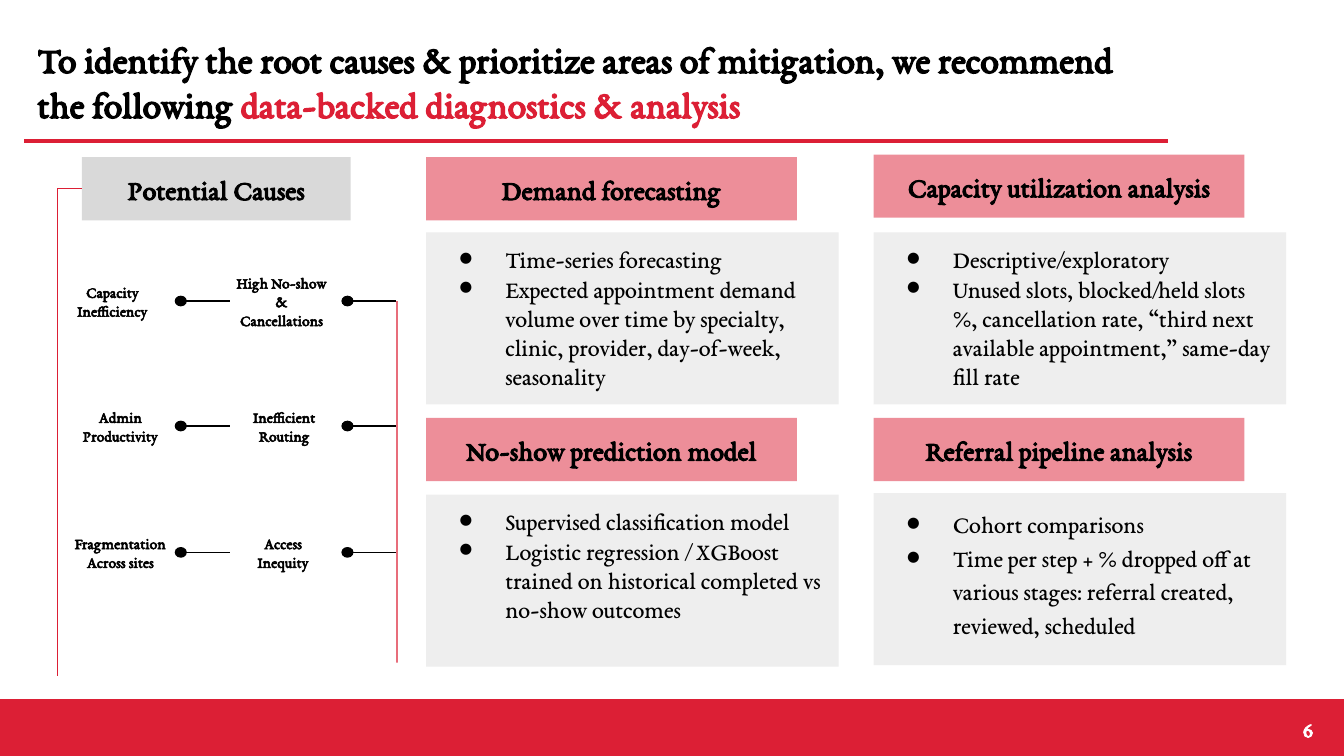
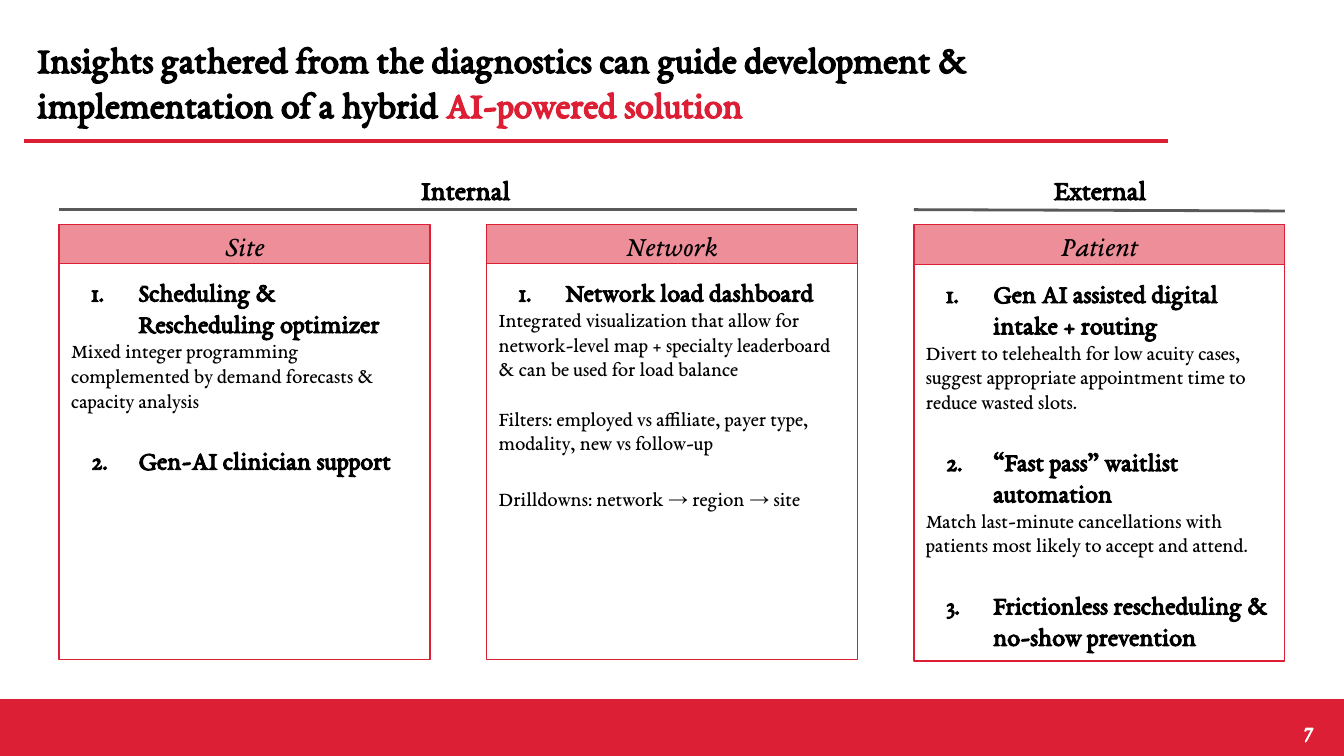
import pptx
import pptx.dml.color
import pptx.enum.shapes
import pptx.enum.text
import pptx.oxml
import pptx.oxml.ns
import pptx.util

Inches = pptx.util.Inches
Pt = pptx.util.Pt
rgb = pptx.dml.color.RGBColor.from_string
qn = pptx.oxml.ns.qn
SHAPE = pptx.enum.shapes.MSO_SHAPE
CONNECTOR = pptx.enum.shapes.MSO_CONNECTOR
ALIGN = pptx.enum.text.PP_ALIGN
ANCHOR = pptx.enum.text.MSO_ANCHOR

FONT = "EB Garamond"
RED, BLACK, WHITE = "DC1F35", "000000", "FFFFFF"
LIGHT_GREY, MID_GREY, DARK_GREY = "EEEEEE", "D9D9D9", "595959"
BULLET = '<a:buChar {} char="●"/>'
NUMBER = '<a:buAutoNum {{}} type="arabicPeriod" startAt="{}"/>'
NAMESPACE = pptx.oxml.ns.nsdecls("a")


def add_box(slide, place, fill=None, outline=None, opacity=100,
            kind=SHAPE.RECTANGLE, anchor=ANCHOR.MIDDLE, margin=0.09):
    """Add a text box, or a preset shape when a fill is given."""
    place = [Inches(length) for length in place]
    if fill is None:
        shape = slide.shapes.add_textbox(*place)
    else:
        shape = slide.shapes.add_shape(kind, *place)
        shape.shadow.inherit = False
        shape.fill.solid()
        shape.fill.fore_color.rgb = rgb(fill)
        if opacity < 100:
            color = shape.element.spPr.find(".//" + qn("a:srgbClr"))
            color.append(pptx.oxml.parse_xml(f'<a:alpha {NAMESPACE} val="{opacity * 1000}"/>'))
        if outline:
            shape.line.color.rgb = rgb(outline)
            shape.line.width = Pt(0.75)
        else:
            shape.line.fill.background()
    frame = shape.text_frame
    frame.word_wrap = True
    frame.vertical_anchor = anchor
    frame.margin_left = frame.margin_right = Inches(margin)
    frame.margin_top = frame.margin_bottom = Inches(margin)
    return shape


def write(shape, text, size, bold=False, italic=False, color=BLACK,
          align=ALIGN.LEFT, marker=None, marker_size=100, hanging=0.34):
    """Add a paragraph, using the empty first one if there is no text yet."""
    frame = shape.text_frame
    paragraph = frame.add_paragraph() if frame.text else frame.paragraphs[0]
    paragraph.text = text
    paragraph.alignment = align
    if marker:
        properties = paragraph._p.get_or_add_pPr()
        properties.set("marL", str(Inches(0.5)))
        properties.set("indent", str(-Inches(hanging)))
        for xml in (f'<a:buClr {NAMESPACE}><a:srgbClr val="{BLACK}"/></a:buClr>',
                    f'<a:buSzPct {NAMESPACE} val="{marker_size * 1000}"/>',
                    f'<a:buFont {NAMESPACE} typeface="{FONT}"/>',
                    marker.format(NAMESPACE)):
            properties.append(pptx.oxml.parse_xml(xml))
    font = paragraph.font
    font.name, font.size = FONT, Pt(size)
    font.bold, font.italic = bold, italic
    font.color.rgb = rgb(color)
    return paragraph


presentation = pptx.Presentation()
presentation.slide_width = Inches(10)
presentation.slide_height = Inches(10) * 9 // 16

# Title, rule and footer band on every slide
titles = [
    ("To identify the root causes & prioritize areas of mitigation, we recommend the following ",
     "data-backed diagnostics & analysis"),
    ("Insights gathered from the diagnostics can guide development & implementation of a hybrid ",
     "AI-powered solution"),
]
slides = []
lines = []  # slide, start, end, colour, width
for number, (lead, accent) in enumerate(titles, start=6):
    slide = presentation.slides.add_slide(presentation.slide_layouts[6])
    slides.append(slide)
    title = add_box(slide, (0.18, 0.16, 8.23, 0.88), margin=0.1)
    run = write(title, lead, 20.1, bold=True).add_run()
    run.text = accent
    run.font.color.rgb = rgb(RED)
    lines.append((slide, (0.18, 1.05), (8.69, 1.05), RED, 2.25))
    add_box(slide, (0, 5.21, 10, 0.41), RED, RED)
    page = add_box(slide, (9.27, 5.22, 0.6, 0.4), margin=0.1)
    write(page, str(number), 12, bold=True, color=WHITE, align=ALIGN.RIGHT)
diagnostics, solution = slides

# Diagnostics: potential causes
causes_header = add_box(diagnostics, (0.61, 1.17, 2, 0.47), MID_GREY)
write(causes_header, "Potential Causes", 15, bold=True, align=ALIGN.CENTER)
add_box(diagnostics, (2.95, 2.24, 0.01, 2.69), RED)

cause_rows = [
    (2.24, ("Capacity Inefficiency", 0.44, 0.79, 0.4),
     ("High No-show & Cancellations", 1.66, 0.87, 0.58)),
    (3.17, ("Admin Productivity", 0.49, 0.81, 0.4),
     ("Inefficient Routing", 1.71, 0.81, 0.4)),
    (4.11, ("Fragmentation Across sites", 0.44, 0.91, 0.4),
     ("Access Inequity", 1.7, 0.81, 0.4)),
]
for middle, *causes in cause_rows:
    for (cause, left, width, height), dot in zip(causes, (1.35, 2.59)):
        label = add_box(diagnostics, (left, middle - height / 2, width, height))
        paragraph = write(label, cause, 8.4, bold=True, align=ALIGN.CENTER)
        paragraph.space_after = Pt(14.8)
        add_box(diagnostics, (dot - 0.05, middle - 0.04, 0.09, 0.08), BLACK, kind=SHAPE.OVAL)
        lines.append((diagnostics, (dot, middle), (dot + 0.36, middle), BLACK, 0.7))

# Diagnostics: analysis cards
analyses = [
    ("Demand forecasting", 3.17, 1.17, 1.73, 1,
     ["Time-series forecasting",
      "Expected appointment demand volume over time by specialty, clinic, provider, "
      "day-of-week, seasonality"]),
    ("Capacity utilization analysis", 6.5, 1.15, 1.73, 1,
     ["Descriptive/exploratory",
      "Unused slots, blocked/held slots %, cancellation rate, “third next available "
      "appointment,” same-day fill rate"]),
    ("No-show prediction model", 3.17, 3.11, 3.68, 1,
     ["Supervised classification model",
      "Logistic regression / XGBoost trained on historical completed vs no-show outcomes"]),
    ("Referral pipeline analysis", 6.5, 3.11, 3.67, 1.15,
     ["Cohort comparisons",
      "Time per step + % dropped off at various stages: referral created, reviewed, scheduled"]),
]
for name, left, header_top, body_top, spacing, points in analyses:
    header = add_box(diagnostics, (left, header_top, 2.76, 0.47), RED, opacity=50)
    write(header, name, 15, bold=True, align=ALIGN.CENTER)
    body = add_box(diagnostics, (left, body_top, 3.07, 1.28), LIGHT_GREY, anchor=ANCHOR.TOP)
    for point in points:
        write(body, point, 13, marker=BULLET, marker_size=60).line_spacing = spacing

# Solution: each initiative has a heading and its notes
for section, left, width, rule_start, rule_end in [
        ("Internal", 0.77, 5.39, (0.44, 1.56), (6.38, 1.56)),
        ("External", 6.98, 2.41, (6.8, 1.56), (9.56, 1.57))]:
    label = add_box(solution, (left, 1.18, width, 0.45), anchor=ANCHOR.TOP, margin=0.1)
    write(label, section, 15, bold=True, align=ALIGN.CENTER)
    lines.append((solution, rule_start, rule_end, DARK_GREY, 1.5))

audiences = [
    ("Site", 0.44, 1.96, [
        ("Scheduling & Rescheduling optimizer",
         ["Mixed integer programming complemented by demand forecasts & capacity analysis"]),
        ("Gen-AI clinician support", []),
    ]),
    ("Network", 3.62, 1.96, [
        ("Network load dashboard",
         ["Integrated visualization that allow for network-level map + specialty leaderboard "
          "& can be used for load balance",
          "Filters: employed vs affiliate, payer type, modality, new vs follow-up",
          "Drilldowns: network → region → site"]),
    ]),
    ("Patient", 6.8, 1.97, [
        ("Gen AI assisted digital intake + routing",
         ["Divert to telehealth for low acuity cases, suggest appropriate appointment time "
          "to reduce wasted slots."]),
        ("“Fast pass” waitlist automation",
         ["Match last-minute cancellations with patients most likely to accept and attend."]),
        ("Frictionless rescheduling & no-show prevention", []),
    ]),
]
for audience, left, body_top, initiatives in audiences:
    header = add_box(solution, (left, 1.67, 2.76, 0.31), RED, RED, opacity=50)
    write(header, audience, 15, italic=True, align=ALIGN.CENTER)
    body = add_box(solution, (left, body_top, 2.76, 2.95), WHITE, RED, anchor=ANCHOR.TOP)
    for number, (heading, notes) in enumerate(initiatives, start=1):
        paragraph = write(body, heading, 14, bold=True, marker=NUMBER.format(number), hanging=0.35)
        if number > 1:
            paragraph.space_before = Pt(16.8)
        for position, note in enumerate(notes):
            paragraph = write(body, note, 11)
            if position:
                paragraph.space_before = Pt(13.2 if position == 1 else 16.5)

# Straight lines, and the elbow that bends down from the causes header
elbow_line = (diagnostics, (0.61, 1.4), (0.43, 5.03), RED, 0.7)
for line in lines + [elbow_line]:
    slide, start, end, color, width = line
    kind = CONNECTOR.ELBOW if line is elbow_line else CONNECTOR.STRAIGHT
    connector = slide.shapes.add_connector(kind, *[Inches(value) for value in start + end])
    connector.line.color.rgb = rgb(color)
    connector.line.width = Pt(width)
    properties = connector._element.spPr
    properties.append(pptx.oxml.parse_xml(f"<a:effectLst {NAMESPACE}/>"))
    if line is elbow_line:
        properties.find(qn("a:prstGeom")).set("prst", "bentConnector2")
        connector.begin_connect(causes_header, 1)

presentation.save("out.pptx")
